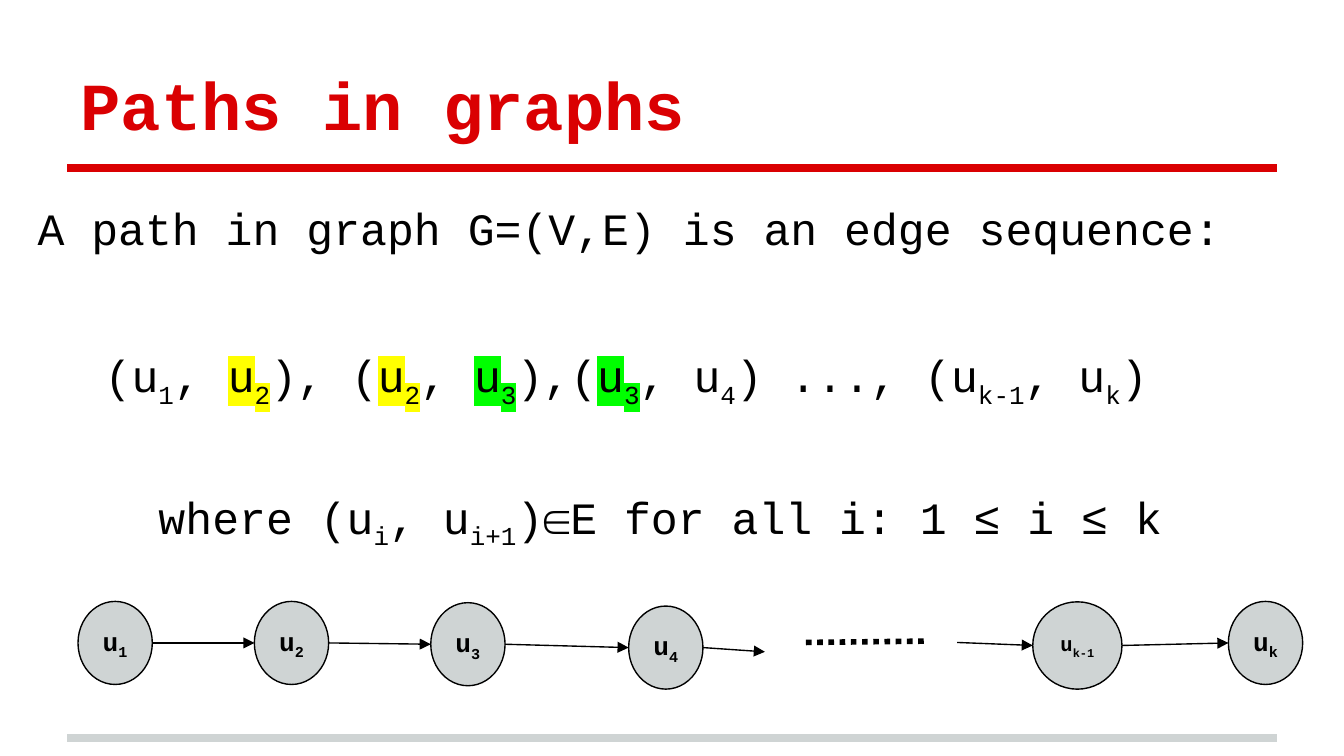
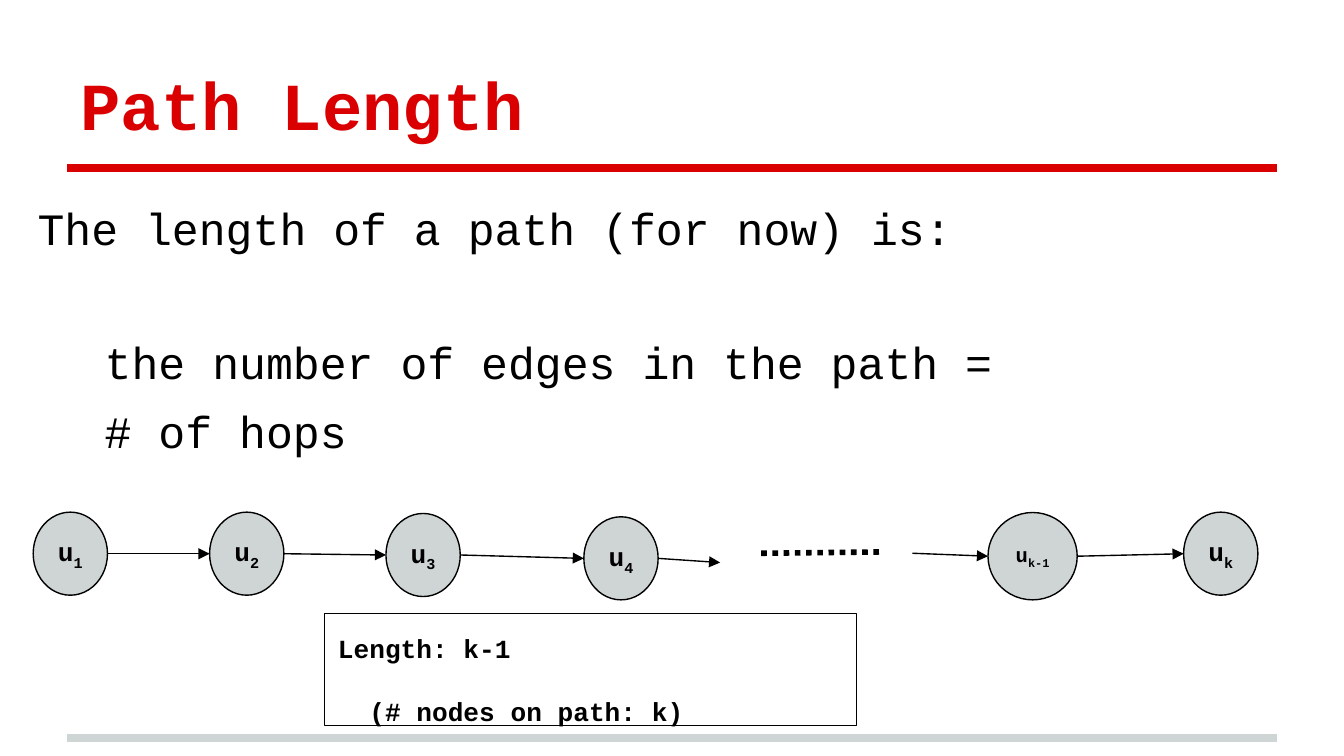
from dataclasses import dataclass

from lxml import etree
from pptx import Presentation
from pptx.dml.color import RGBColor
from pptx.enum import dml, shapes, text
from pptx.oxml import ns
from pptx.util import Pt


@dataclass(frozen=True)
class Theme:
    font: str = "Courier New"
    red: str = "DA0002"
    grey: str = "CFD4D4"
    black: str = "000000"
    yellow: str = "FFFF00"
    green: str = "00FF00"
    title_size: float = 36
    body_size: float = 24
    node_size: float = 14
    small_node_size: float = 11
    inset: float = 7.2
    hairline: float = 0.75
    rule: float = 4
    dots: float = 3


@dataclass(frozen=True)
class Line:
    """Pieces are (text, subscript) or (text, subscript, highlight)."""
    pieces: list
    before: float = 0
    indent: float = 0


THEME = Theme()
LEFT, RIGHT = 36, 684
NODE_W, NODE_H = 39.8, 44.5
BIG_W, BIG_H = 47.8, 46.8
# Subscript and offset of each node from the start of the chain
NODES = [("1", 0, 0), ("2", 94.5, 0), ("3", 189, 0.7), ("4", 295, 2.5),
         ("k-1", 511.5, 0.2), ("k", 616.3, 0)]
GAP_ENTRY, GAP_EXIT = (368, 27), (471, 22)
DOTS_START, DOTS_END = (390, 22), (454, 21.3)


def plain(words, **spacing):
    return Line([(words, "")], **spacing)


def add_xml(parent, tag, **attributes):
    return etree.SubElement(parent, ns.qn(tag), **attributes)


class Deck:
    def __init__(self, theme):
        self.theme = theme
        self.prs = Presentation()
        self.prs.slide_width, self.prs.slide_height = Pt(720), Pt(405)
        self.slide = None

    def start_slide(self, title):
        self.slide = self.prs.slides.add_slide(self.prs.slide_layouts[6])
        t = self.theme
        self.line((LEFT, 395.3), (RIGHT, 395.3), t.grey, t.rule)
        self.line((LEFT, 90), (RIGHT, 90), t.red, t.rule)
        frame = self.text_box(LEFT, 16.6, RIGHT - LEFT, 67.7)
        frame.vertical_anchor = text.MSO_ANCHOR.BOTTOM
        self.add_lines(frame, [plain(title)], t.title_size, t.red, bold=True)

    def text_box(self, left, top, width, height):
        box = self.slide.shapes.add_textbox(Pt(left), Pt(top), Pt(width), Pt(height))
        self.set_frame(box.text_frame, self.theme.inset)
        return box.text_frame

    def set_frame(self, frame, inset, wrap=True):
        frame.word_wrap = wrap
        frame.margin_left = frame.margin_right = Pt(inset)
        frame.margin_top = frame.margin_bottom = Pt(inset)

    def add_lines(self, frame, lines, size, color, bold=False,
                  align=text.PP_ALIGN.LEFT):
        for index, line in enumerate(lines):
            paragraph = frame.add_paragraph() if index else frame.paragraphs[0]
            paragraph.alignment = align
            if line.before:
                paragraph.space_before = Pt(line.before)
            if line.indent:
                paragraph._p.get_or_add_pPr().set("marL", str(Pt(line.indent)))
            font = paragraph.font
            font.name, font.size, font.bold = self.theme.font, Pt(size), bold
            font.color.rgb = RGBColor.from_string(color)
            for base, subscript, *highlight in line.pieces:
                self.add_run(paragraph, base, highlight)
                if subscript:
                    self.add_run(paragraph, subscript, highlight, baseline="-25000")

    def add_run(self, paragraph, words, highlight, **attributes):
        run = paragraph.add_run()
        run.text = words
        properties = run._r.get_or_add_rPr()
        for name, value in attributes.items():
            properties.set(name, value)
        for color in highlight:
            add_xml(add_xml(properties, "a:highlight"), "a:srgbClr", val=color)

    def body(self, height, lines):
        frame = self.text_box(13, 94.5, 671, height)
        frame.margin_top = Pt(self.theme.inset + 6)
        self.add_lines(frame, lines, self.theme.body_size, self.theme.black)

    def shape(self, kind, left, top, width, height, fill=None):
        shape = self.slide.shapes.add_shape(
            kind, Pt(left), Pt(top), Pt(width), Pt(height))
        shape.shadow.inherit = False
        if fill:
            shape.fill.solid()
            shape.fill.fore_color.rgb = RGBColor.from_string(fill)
        else:
            shape.fill.background()
        shape.line.color.rgb = RGBColor.from_string(self.theme.black)
        shape.line.width = Pt(self.theme.hairline)
        return shape.text_frame

    def line(self, start, end, color, width):
        line = self.slide.shapes.add_connector(
            shapes.MSO_CONNECTOR.STRAIGHT, *(Pt(v) for v in (*start, *end)))
        line.line.color.rgb = RGBColor.from_string(color)
        line.line.width = Pt(width)
        add_xml(line._element.spPr, "a:effectLst")
        return line.line

    def arrow(self, start, end):
        line = self.line(start, end, self.theme.black, self.theme.hairline)
        add_xml(line._get_or_add_ln(), "a:tailEnd", type="triangle")

    def node(self, subscript, left, top):
        """Draw a node and return its left and right middle points."""
        t = self.theme
        big = len(subscript) > 1
        width, height = (BIG_W, BIG_H) if big else (NODE_W, NODE_H)
        frame = self.shape(shapes.MSO_SHAPE.OVAL, left, top, width, height, t.grey)
        self.set_frame(frame, 0, wrap=False)
        frame.vertical_anchor = text.MSO_ANCHOR.MIDDLE
        self.add_lines(frame, [Line([("u", subscript)])],
                       t.small_node_size if big else t.node_size,
                       t.black, bold=True, align=text.PP_ALIGN.CENTER)
        middle = top + height / 2
        return (left, middle), (left + width, middle)

    def path_chain(self, left, top):
        def place(offset):
            return left + offset[0], top + offset[1]

        ends = [self.node(name, *place(offset)) for name, *offset in NODES]
        for index, (before, after) in enumerate(zip(ends, ends[1:])):
            if index == 3:
                self.arrow(before[1], place(GAP_ENTRY))
                self.arrow(place(GAP_EXIT), after[0])
            else:
                self.arrow(before[1], after[0])
        dots = self.line(place(DOTS_START), place(DOTS_END),
                         self.theme.black, self.theme.dots)
        dots.dash_style = dml.MSO_LINE.ROUND_DOT

    def note(self, left, top, width, height, lines):
        frame = self.shape(shapes.MSO_SHAPE.RECTANGLE, left, top, width, height)
        self.set_frame(frame, self.theme.inset)
        frame.margin_top = Pt(10)
        frame.vertical_anchor = text.MSO_ANCHOR.TOP
        self.add_lines(frame, lines, self.theme.node_size, self.theme.black, bold=True)


def paths_slide(deck):
    yellow, green = deck.theme.yellow, deck.theme.green
    edges = [("(u", "1"), (", ", ""), ("u", "2", yellow), ("), (", ""),
             ("u", "2", yellow), (", ", ""), ("u", "3", green), ("),(", ""),
             ("u", "3", green), (", u", "4"), (") ..., (u", "k-1"),
             (", u", "k"), (")", "")]
    condition = [("where (u", "i"), (", u", "i+1"),
                 (")∈E for all i: 1 ≤ i ≤ k", "")]
    deck.start_slide("Paths in graphs")
    deck.body(216.7, [
        plain("A path in graph G=(V,E) is an edge sequence:"),
        Line(edges, before=50, indent=36),
        Line(condition, before=43, indent=64.8),
    ])
    deck.path_chain(41.8, 322.2)


def length_slide(deck):
    deck.start_slide("Path Length")
    deck.body(165, [
        plain("The length of a path (for now) is:"),
        plain("the number of edges in the path =", before=43, indent=36),
        plain("# of hops", before=8, indent=36),
    ])
    deck.path_chain(17.8, 274.4)
    deck.note(174, 328.8, 285, 60, [
        plain("Length: k-1"),
        plain("(# nodes on path: k)", before=17, indent=16.8),
    ])


def main():
    deck = Deck(THEME)
    paths_slide(deck)
    length_slide(deck)
    deck.prs.save("out.pptx")


if __name__ == "__main__":
    main()
